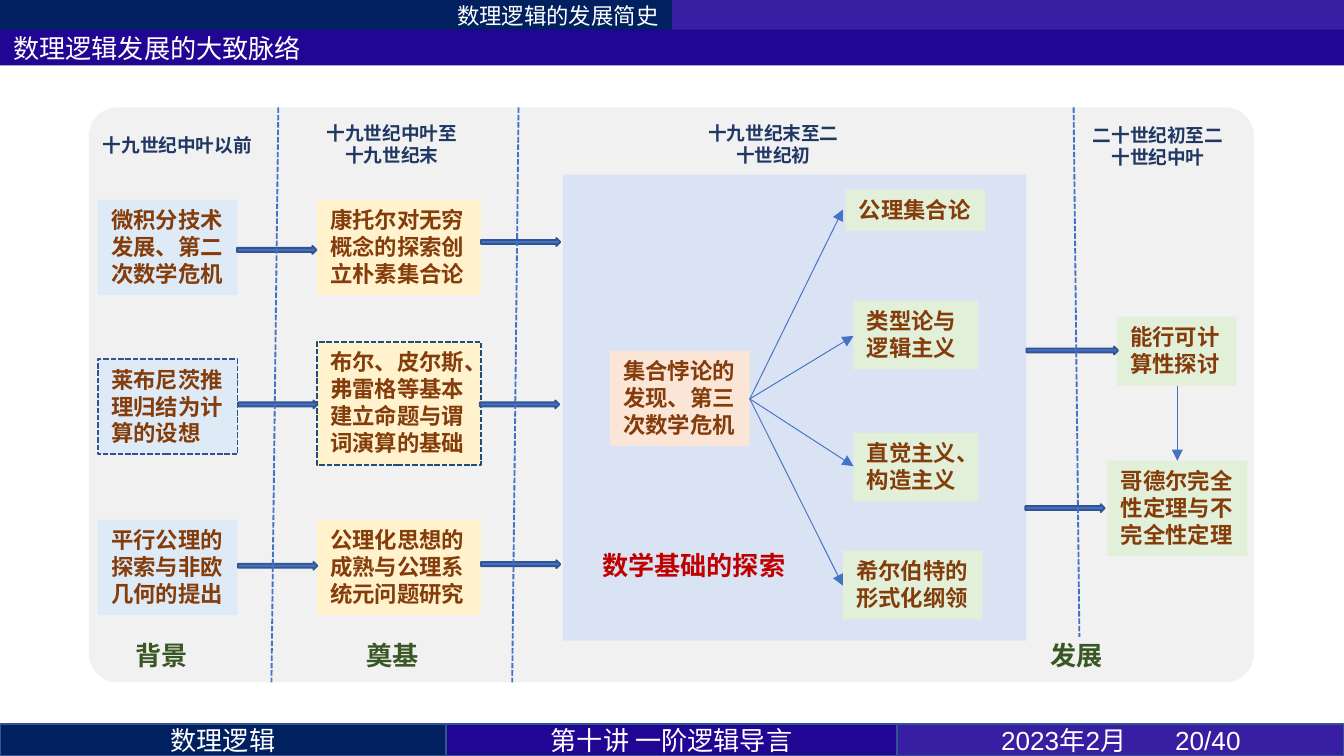
from lxml import etree
from pptx import Presentation
from pptx.dml.color import RGBColor
from pptx.enum.dml import MSO_LINE
from pptx.enum.shapes import MSO_CONNECTOR, MSO_SHAPE
from pptx.enum.text import MSO_ANCHOR, PP_ALIGN
from pptx.oxml.ns import qn
from pptx.util import Cm, Pt

COLORS = {
    "navy": "002060", "indigo": "210694", "violet": "371EA2", "white": "FFFFFF",
    "panel": "E7E6E6", "core": "DAE3F3", "blue": "DEEBF7", "yellow": "FFF2CC",
    "peach": "FBE5D6", "green": "E2F0D9", "brown": "843C0B", "red": "C00000",
    "period": "203864", "stage": "385723", "arrow": "4472C4",
    "edge": "325491", "dark_edge": "1F4E79",
}
BAR_FONT = "Noto Sans CJK SC"

prs = Presentation()
prs.slide_width, prs.slide_height = Cm(25.4), Cm(14.29)
s = prs.slides.add_slide(prs.slide_layouts[6])


def add_box(x, y, w, h, text="", fill=None, line=None, dash=False,
            shape=MSO_SHAPE.RECTANGLE, size=12, font="Calibri", color="brown",
            bold=True, align=PP_ALIGN.LEFT, anchor=MSO_ANCHOR.TOP):
    """Add a filled shape, or a text box when there is no fill."""
    if fill:
        sp = s.shapes.add_shape(shape, Cm(x), Cm(y), Cm(w), Cm(h))
        sp.shadow.inherit = False
        sp.fill.solid()
        sp.fill.fore_color.rgb = RGBColor.from_string(COLORS[fill])
        if line:
            sp.line.color.rgb = RGBColor.from_string(COLORS[line])
            sp.line.width = Pt(1)
            if dash:
                sp.line.dash_style = MSO_LINE.SQUARE_DOT
        else:
            sp.line.fill.background()
    else:
        sp = s.shapes.add_textbox(Cm(x), Cm(y), Cm(w), Cm(h))
    if text:
        tf = sp.text_frame
        tf.word_wrap = True
        tf.vertical_anchor = anchor
        p = tf.paragraphs[0]
        p.alignment = align
        r = p.add_run()
        r.text = text
        r.font.size, r.font.bold, r.font.name = Pt(size), bold, font
        r.font.color.rgb = RGBColor.from_string(COLORS[color])
        etree.SubElement(r.font._element, qn("a:ea"), typeface=font)
    return sp


def add_line(x1, y1, x2, y2, dash=False):
    """Add a dashed divider, or a thin line with an arrowhead."""
    c = s.shapes.add_connector(MSO_CONNECTOR.STRAIGHT, Cm(x1), Cm(y1), Cm(x2), Cm(y2))
    c.line.color.rgb = RGBColor.from_string(COLORS["arrow"])
    c.line.width = Pt(1 if dash else 0.5)
    if dash:
        c.line.dash_style = MSO_LINE.SQUARE_DOT
    else:
        etree.SubElement(c.line._get_or_add_ln(), qn("a:tailEnd"), type="triangle")
    etree.SubElement(c._element.spPr, qn("a:effectLst"))


# Header bars
bar = dict(color="white", bold=False, anchor=MSO_ANCHOR.MIDDLE)
add_box(0, 0, 12.7, 0.58, "数理逻辑的发展简史", fill="navy", font=BAR_FONT,
        align=PP_ALIGN.RIGHT, **bar)
add_box(12.7, 0, 12.7, 0.58, fill="violet")
add_box(0, 0.56, 25.4, 0.68, "数理逻辑发展的大致脉络", fill="indigo", size=14, **bar)

# Footer bars
for x, w, text, fill in [(0, 8.43, "数理逻辑", "navy"),
                         (8.43, 8.53, "第十讲 一阶逻辑导言", "indigo")]:
    add_box(x, 13.69, w, 0.6, text, fill=fill, line="edge", size=14, font=BAR_FONT,
            align=PP_ALIGN.CENTER, **bar)
sp = add_box(16.96, 13.69, 8.44, 0.6, "2023年2月\t20/40", fill="violet", line="edge",
             size=14, font="Arial", **bar)
sp.text_frame.margin_left = Cm(1.96)
tabs = etree.SubElement(sp.text_frame.paragraphs[0]._p.get_or_add_pPr(), qn("a:tabLst"))
etree.SubElement(tabs, qn("a:tab"), pos=str(Cm(3.29)), algn="l")

# Background panels
panel = add_box(1.68, 2.03, 22.02, 10.87, fill="panel", shape=MSO_SHAPE.ROUNDED_RECTANGLE)
panel.adjustments[0] = 0.05
rgb = panel._element.spPr.find(qn("a:solidFill")).find(qn("a:srgbClr"))
etree.SubElement(rgb, qn("a:alpha"), val="53000")
add_box(10.64, 3.3, 8.76, 8.81, fill="core")

# Topic boxes
for x, y, w, h, fill, text in [
    (1.85, 3.78, 2.64, 1.8, "blue", "微积分技术发展、第二次数学危机"),
    (1.85, 9.83, 2.64, 1.8, "blue", "平行公理的探索与非欧几何的提出"),
    (5.99, 3.78, 3.1, 1.8, "yellow", "康托尔对无穷概念的探索创立朴素集合论"),
    (5.99, 9.83, 3.1, 1.8, "yellow", "公理化思想的成熟与公理系统元问题研究"),
    (11.53, 6.63, 2.64, 1.8, "peach", "集合悖论的发现、第三次数学危机"),
    (15.98, 3.58, 2.64, 0.79, "green", "公理集合论"),
    (16.13, 5.69, 2.36, 1.3, "green", "类型论与逻辑主义"),
    (16.13, 8.18, 2.36, 1.3, "green", "直觉主义、构造主义"),
    (15.93, 10.41, 2.64, 1.3, "green", "希尔伯特的形式化纲领"),
    (21.11, 5.99, 2.26, 1.3, "green", "能行可计算性探讨"),
    (20.93, 8.71, 2.64, 1.8, "green", "哥德尔完全性定理与不完全性定理"),
]:
    add_box(x, y, w, h, text, fill=fill)
add_box(1.85, 6.79, 2.64, 1.8, "莱布尼茨推理归结为计算的设想",
        fill="blue", line="edge", dash=True)
add_box(5.99, 6.46, 3.1, 2.33, "布尔、皮尔斯、弗雷格等基本建立命题与谓词演算的基础",
        fill="yellow", line="dark_edge", dash=True)

# Block arrows between columns
for x, y, w in [(4.48, 4.65, 1.5), (4.5, 7.57, 1.5), (4.5, 10.62, 1.5),
                (9.09, 4.5, 1.5), (9.07, 7.57, 1.5), (9.09, 10.59, 1.5),
                (19.4, 6.55, 1.73), (19.38, 9.53, 1.5)]:
    add_box(x, y, w, 0.15, fill="arrow", line="edge", shape=MSO_SHAPE.RIGHT_ARROW)

# Thin arrows: the fan from the paradox box, then computability to Gödel
for x, y in [(15.93, 3.96), (16.13, 6.35), (16.13, 8.81), (15.93, 11.07)]:
    add_line(14.17, 7.54, x, y)
add_line(22.25, 7.29, 22.25, 8.71)

# Dashed period dividers
for top_x, bottom_x, bottom in [(5.26, 5.13, 12.9), (9.8, 9.68, 12.9), (20.29, 20.4, 12.04)]:
    add_line(top_x, 2.03, bottom_x, bottom, dash=True)

# Period headings
for x, y, w, h, text in [(1.66, 2.41, 3.38, 0.69, "十九世纪中叶以前"),
                         (5.92, 2.18, 2.97, 1.12, "十九世纪中叶至十九世纪末"),
                         (13.13, 2.18, 2.97, 1.12, "十九世纪末至二十世纪初"),
                         (20.4, 2.21, 2.97, 1.12, "二十世纪初至二十世纪中叶")]:
    add_box(x, y, w, h, text, size=10, color="period", align=PP_ALIGN.CENTER)

# Stage labels
for x, text in [(2.21, "背景"), (6.58, "奠基"), (19.51, "发展")]:
    add_box(x, 11.96, 1.68, 0.86, text, size=14, color="stage", align=PP_ALIGN.CENTER)
add_box(11.13, 10.26, 4.04, 0.86, "数学基础的探索", size=14, color="red")

prs.save("out.pptx")
